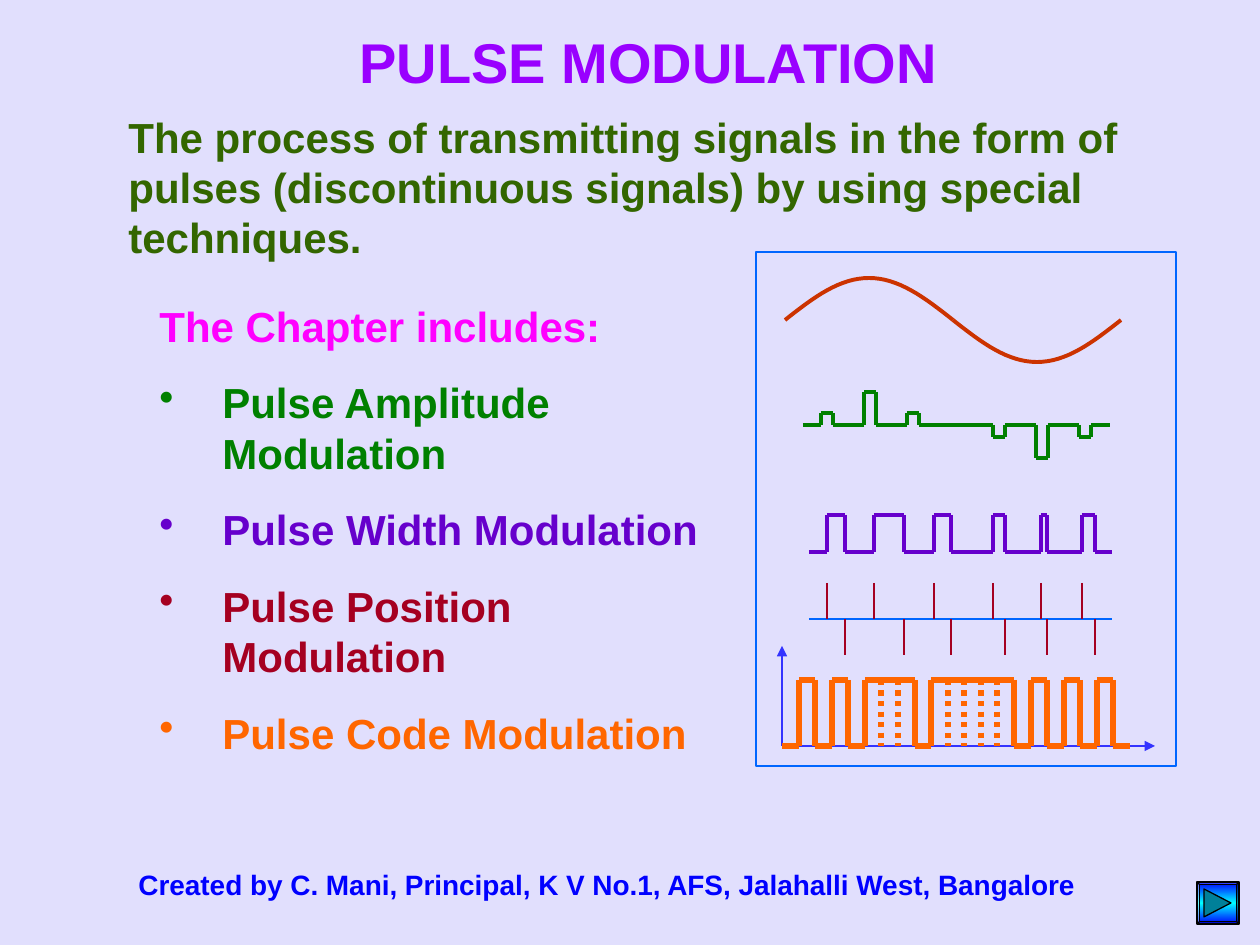
from math import pi, sin

from lxml.etree import SubElement
from pptx import Presentation
from pptx.dml.color import RGBColor
from pptx.enum.dml import MSO_LINE
from pptx.enum.shapes import MSO_CONNECTOR, MSO_SHAPE
from pptx.enum.text import MSO_AUTO_SIZE
from pptx.oxml import parse_xml
from pptx.oxml.ns import nsdecls, qn
from pptx.util import Emu, Pt

COLORS = {
    "background": "E1DFFD", "title": "9900FF", "definition": "336600",
    "chapter": "FF00FF", "credit": "0000FF", "frame": "0066FF",
    "sine": "CC3300", "pam": "008000", "pwm": "6600CC", "ppm": "A50021",
    "pcm": "FF6600", "axis": "3333FF", "button_edge": "0000FF",
    "button_middle": "00FFFF", "button_arrow": "008099", "black": "000000",
}

TITLE = "PULSE MODULATION"
DEFINITION = ("The process of transmitting signals in the form of pulses "
              "(discontinuous signals) by using special techniques.")
CHAPTER = [
    ("The Chapter includes:", "chapter", False),
    ("Pulse Amplitude Modulation", "pam", True),
    ("Pulse Width Modulation", "pwm", True),
    ("Pulse Position Modulation", "ppm", True),
    ("Pulse Code Modulation", "pcm", True),
]
CREDIT = "Created by C. Mani, Principal, K V No.1, AFS, Jalahalli West, Bangalore"

# Signal data, in px
SINE = {"left": 785, "middle": 320, "half": 168, "height": 42}
PAM = {"start": 803, "end": 1110, "base": 425, "first": 821, "step": 43, "width": 12}
PAM_HEIGHTS = [12, 33, 12, 0, -12, -33, -12]
PWM = {"start": 809, "end": 1112, "base": 552, "top": 515}
PWM_PULSES = [(827, 845), (874, 904), (934, 951), (993, 1005), (1041, 1047), (1082, 1095)]
PPM = {"base": 619, "tick": 36}
PCM = {"left": 782, "step": 16.57, "base": 746, "top": 680, "bits": 21}
PCM_PULSES = [(1, 2), (3, 4), (5, 8), (9, 14), (15, 16), (17, 18), (19, 20)]
AXIS_TOP, AXIS_RIGHT = 646, 1155


def px(n):
    return Emu(round(n * 914400 / 126))


def rgb(name):
    return RGBColor.from_string(COLORS[name])


def add_text(slide, box, paragraphs, size, spacing=0, indent=0):
    """paragraphs: (text, colour name, bulleted) tuples."""
    frame = slide.shapes.add_textbox(*map(px, box)).text_frame
    frame.word_wrap = True
    frame.auto_size = MSO_AUTO_SIZE.SHAPE_TO_FIT_TEXT
    for i, (text, color, bulleted) in enumerate(paragraphs):
        paragraph = frame.add_paragraph() if i else frame.paragraphs[0]
        if i:
            paragraph.space_before = Pt(spacing)
        props = paragraph._p.get_or_add_pPr()
        if indent:
            props.set("marL", str(px(indent)))
            props.set("indent", str(-px(indent)))
        if bulleted:
            bullet_color = SubElement(props, qn("a:buClr"))
            SubElement(bullet_color, qn("a:srgbClr")).set("val", COLORS[color])
            SubElement(props, qn("a:buChar")).set("char", "•")
        run = paragraph.add_run()
        run.text = text
        run.font.name, run.font.size, run.font.bold = "Arial", Pt(size), True
        run.font.color.rgb = rgb(color)


def add_line(group, start, end, color, width, dotted=False, arrow=False):
    line = group.shapes.add_connector(
        MSO_CONNECTOR.STRAIGHT, *map(px, (*start, *end)))
    line.line.color.rgb = rgb(color)
    line.line.width = Pt(width)
    if dotted:
        line.line.dash_style = MSO_LINE.ROUND_DOT
    if arrow:
        SubElement(line.line._get_or_add_ln(), qn("a:tailEnd")).set("type", "triangle")
    SubElement(line._element.spPr, qn("a:effectLst"))


def add_pulse_train(group, start, end, base, pulses, color, width):
    """Trace a baseline that steps to each pulse, given as (left, right, level)."""
    corners = [(start, base)]
    for left, right, level in pulses:
        corners += [(left, base), (left, level), (right, level), (right, base)]
    corners.append((end, base))
    for a, b in zip(corners, corners[1:]):
        add_line(group, a, b, color, width)


def add_outline(shapes, points, closed, color, width):
    builder = shapes.build_freeform(*map(px, points[0]), scale=1.0)
    builder.add_line_segments([tuple(map(px, p)) for p in points[1:]], close=closed)
    outline = builder.convert_to_shape()
    outline.shadow.inherit = False
    outline.fill.background()
    outline.line.color.rgb = rgb(color)
    outline.line.width = Pt(width)
    return outline


def add_button(slide):
    button = slide.shapes.add_shape(MSO_SHAPE.BEVEL, *map(px, (1197, 882, 42, 42)))
    button.adjustments[0] = 0.06
    button.shadow.inherit = False
    stops = [(0, "button_edge"), (50000, "button_middle"), (100000, "button_edge")]
    stop_xml = "".join(f'<a:gs pos="{pos}"><a:srgbClr val="{COLORS[name]}"/></a:gs>'
                       for pos, name in stops)
    gradient = parse_xml(f'<a:gradFill {nsdecls("a")}><a:gsLst>{stop_xml}</a:gsLst>'
                         '<a:lin ang="5400000" scaled="0"/></a:gradFill>')
    button._element.spPr.find(qn("a:prstGeom")).addnext(gradient)
    button.line.color.rgb = rgb("black")
    button.line.width = Pt(0.75)
    arrow = add_outline(slide.shapes, [(1204, 889), (1231, 903), (1204, 917)],
                        True, "black", 0.75)
    arrow.fill.solid()
    arrow.fill.fore_color.rgb = rgb("button_arrow")


def add_pcm(slide):
    group = slide.shapes.add_group_shape()
    left, base, top = PCM["left"], PCM["base"], PCM["top"]

    def bit_x(bit):
        return round(left + PCM["step"] * bit)

    for tip in [(left, AXIS_TOP), (AXIS_RIGHT, base)]:
        add_line(group, (left, base), tip, "axis", 1.5, arrow=True)
    for first, last in PCM_PULSES:
        for bit in range(first + 1, last):
            add_line(group, (bit_x(bit), top), (bit_x(bit), base), "pcm", 3, dotted=True)
    pulses = [(bit_x(a), bit_x(b), top) for a, b in PCM_PULSES]
    add_pulse_train(group, left, bit_x(PCM["bits"]), base, pulses, "pcm", 3)


def add_pam(slide):
    lefts = [PAM["first"] + PAM["step"] * i for i in range(len(PAM_HEIGHTS))]
    pulses = [(x, x + PAM["width"], PAM["base"] - height)
              for x, height in zip(lefts, PAM_HEIGHTS) if height]
    add_pulse_train(slide.shapes.add_group_shape(), PAM["start"], PAM["end"],
                    PAM["base"], pulses, "pam", 2.25)


def add_pwm(slide):
    pulses = [(a, b, PWM["top"]) for a, b in PWM_PULSES]
    add_pulse_train(slide.shapes.add_group_shape(), PWM["start"], PWM["end"],
                    PWM["base"], pulses, "pwm", 2.25)


def add_ppm(slide):
    """Mark each width pulse's start above the line and its end below."""
    group = slide.shapes.add_group_shape()
    base, tick = PPM["base"], PPM["tick"]
    add_line(group, (PWM["start"], base), (PWM["end"], base), "frame", 1.5)
    for start, end in PWM_PULSES:
        add_line(group, (start, base - tick), (start, base), "ppm", 1.5)
        add_line(group, (end, base), (end, base + tick), "ppm", 1.5)


def add_sine(slide, steps=32):
    group = slide.shapes.add_group_shape()
    for half, sign in enumerate((-1, 1)):
        points = [(SINE["left"] + SINE["half"] * (half + i / steps),
                   SINE["middle"] + sign * SINE["height"] * sin(pi * i / steps))
                  for i in range(steps + 1)]
        add_outline(group.shapes, points, False, "sine", 2.25)


def main():
    deck = Presentation()
    deck.slide_width, deck.slide_height = px(1260), px(945)
    slide = deck.slides.add_slide(deck.slide_layouts[6])
    slide.background.fill.solid()
    slide.background.fill.fore_color.rgb = rgb("background")

    add_text(slide, (147, 294, 609, 471), CHAPTER, 24, spacing=15, indent=63)
    add_button(slide)
    add_text(slide, (347, 21, 609, 81), [(TITLE, "title", False)], 32)
    add_text(slide, (116, 105, 1040, 164), [(DEFINITION, "definition", False)], 24)
    for add_signal in (add_pcm, add_pam, add_pwm, add_ppm, add_sine):
        add_signal(slide)
    corners = [(756, 252), (1176, 252), (1176, 766), (756, 766)]
    (left, top), (right, bottom) = corners[0], corners[2]
    frame = slide.shapes.add_shape(
        MSO_SHAPE.RECTANGLE, *map(px, (left, top, right - left, bottom - top)))
    frame.shadow.inherit = False
    frame.fill.background()
    frame.line.color.rgb = rgb("frame")
    frame.line.width = Pt(1.5)
    add_text(slide, (126, 861, 987, 47), [(CREDIT, "credit", False)], 16)
    deck.save("out.pptx")


if __name__ == "__main__":
    main()
